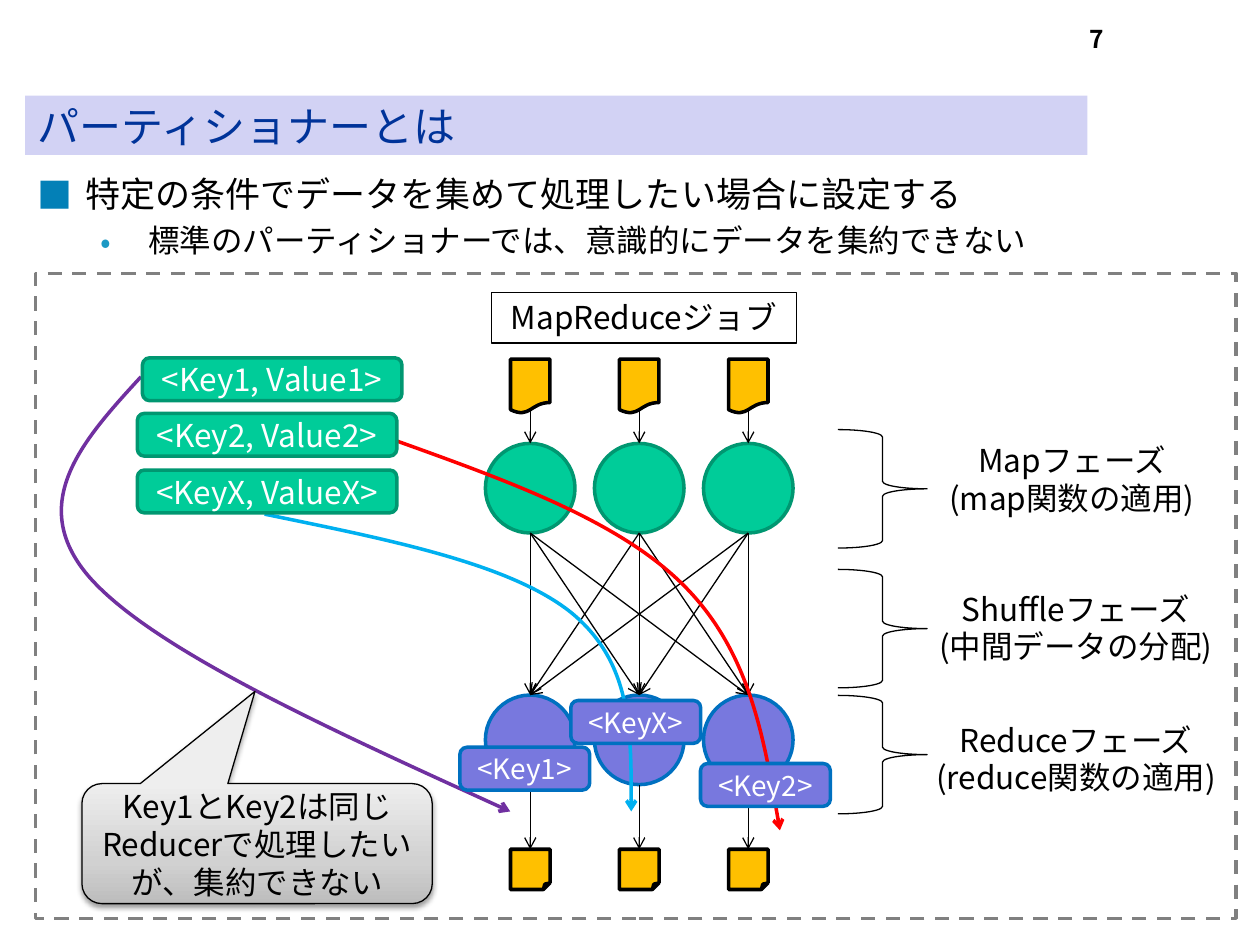
import copy
import pptx
import pptx.util
import pptx.dml.color
import pptx.enum.dml
import pptx.enum.shapes
import pptx.enum.text
import pptx.oxml
import pptx.oxml.ns
from lxml import etree

Pt = pptx.util.Pt
RGB = pptx.dml.color.RGBColor
Kind = pptx.enum.shapes.MSO_SHAPE
Align = pptx.enum.text.PP_ALIGN
Anchor = pptx.enum.text.MSO_ANCHOR
Fit = pptx.enum.text.MSO_AUTO_SIZE
qn = pptx.oxml.ns.qn

FACE = "Noto Sans CJK JP"
BLACK = RGB(0x00, 0x00, 0x00)
WHITE = RGB(0xFF, 0xFF, 0xFF)
NAVY = RGB(0x00, 0x33, 0x99)
LILAC = RGB(0xD2, 0xD2, 0xF4)
GREEN = RGB(0x00, 0xCC, 0x99)
PINE = RGB(0x00, 0x97, 0x71)
VIOLET = RGB(0x78, 0x78, 0xDE)
BLUE = RGB(0x00, 0x70, 0xC0)
GOLD = RGB(0xFF, 0xC0, 0x00)
GRAY = RGB(0x80, 0x80, 0x80)
PURPLE = RGB(0x70, 0x30, 0xA0)
RED = RGB(0xFF, 0x00, 0x00)
SKY = RGB(0x00, 0xB0, 0xF0)
TEAL = RGB(0x03, 0x80, 0xB7)
AQUA = RGB(0x1C, 0x99, 0xC4)
SHADES = [(0, RGB(0xBD, 0xBD, 0xBD)), (0.35, RGB(0xD1, 0xD1, 0xD1)),
          (1, RGB(0xEE, 0xEE, 0xEE))]

deck = pptx.Presentation()
deck.slide_width, deck.slide_height = Pt(720), Pt(540)
slide = deck.slides.add_slide(deck.slide_layouts[1])
shapes = slide.shapes


def draw(kind, box, fill, edge, width):
    shape = shapes.add_shape(kind, *map(Pt, box))
    shape.shadow.inherit = False
    if fill is None:
        shape.fill.background()
    else:
        shape.fill.solid()
        shape.fill.fore_color.rgb = fill
    shape.line.color.rgb = edge
    shape.line.width = Pt(width)
    return shape


def write(shape, lines, size, color, align=Align.CENTER, anchor=Anchor.TOP,
          bold=False, fit=Fit.NONE):
    frame = shape.text_frame
    frame.text = "\n".join(lines)
    frame_form = {"word_wrap": True, "auto_size": fit, "vertical_anchor": anchor}
    for name, value in frame_form.items():
        setattr(frame, name, value)
    for para in frame.paragraphs:
        para.alignment = align
        for run in para.runs:
            font_form = {"size": Pt(size), "bold": bold, "name": FACE}
            for name, value in font_form.items():
                setattr(run.font, name, value)
            run.font.color.rgb = color
            etree.SubElement(run.font._element, qn("a:ea"), typeface=FACE)


# Title bar
title = shapes.title
title.left, title.top, title.width, title.height = map(Pt, (14.4, 54.7, 607, 33.8))
title.fill.solid()
title.fill.fore_color.rgb = LILAC
write(title, ["パーティショナーとは"], 24, NAVY, Align.LEFT, Anchor.MIDDLE)

# Bulleted list
body = slide.placeholders[1]
body.left, body.top, body.width, body.height = map(Pt, (14.4, 95, 692, 403))
write(body, ["特定の条件でデータを集めて処理したい場合に設定する",
             "標準のパーティショナーでは、意識的にデータを集約できない"],
      20, BLACK, Align.LEFT)
bullets = [("■", TEAL, 27, 20, 0), ("•", AQUA, 63, 18, 3.6)]
for level, (para, (mark, color, left, size, gap)) in enumerate(
        zip(body.text_frame.paragraphs, bullets)):
    props = para._p.get_or_add_pPr()
    props.set("marL", str(Pt(left)))
    props.set("indent", str(Pt(-27)))
    tint = etree.SubElement(props, qn("a:buClr"))
    etree.SubElement(tint, qn("a:srgbClr"), val=str(color))
    etree.SubElement(props, qn("a:buFont"), typeface=FACE)
    etree.SubElement(props, qn("a:buChar"), char=mark)
    para.level = level
    para.space_before = Pt(gap)
    para.runs[0].font.size = Pt(size)

# Page number
page = shapes.add_textbox(*map(Pt, (488, 10, 150, 36)))
write(page, ["7"], 14, BLACK, Align.RIGHT, bold=True)

# Job frame and heading
frame = draw(Kind.RECTANGLE, (20.2, 156.2, 686, 368.6), None, GRAY, 2)
frame.line.dash_style = pptx.enum.dml.MSO_LINE.DASH
job = draw(Kind.RECTANGLE, (280.8, 167, 174.2, 29), WHITE, BLACK, 0.75)
write(job, ["MapReduceジョブ"], 18, BLACK, fit=Fit.SHAPE_TO_FIT_TEXT)

# Input files, mappers, reducers and output files in three columns
cols = [303, 365.3, 427.6]
for x in cols:
    draw(Kind.FLOWCHART_DOCUMENT, (x - 11.3, 205.2, 22.6, 31), GOLD, BLACK, 2)
    draw(Kind.OVAL, (x - 25.6, 253.4, 51.2, 51.2), GREEN, PINE, 2)
    draw(Kind.OVAL, (x - 25.6, 397.2, 51.2, 51.2), VIOLET, BLUE, 2)
    draw(Kind.FOLDED_CORNER, (x - 11.3, 485.3, 22.6, 23), GOLD, BLACK, 2)

# Straight arrows: into mappers, out of reducers, and every mapper to every reducer
links = [(x, 234.7, x, 253.4) for x in cols]
links += [(x, 448.4, x, 485.3) for x in cols]
links += [(x, 304.6, end, 397.2) for x in cols for end in cols]
arrows = []
for link in links:
    arrow = shapes.add_connector(pptx.enum.shapes.MSO_CONNECTOR.STRAIGHT,
                                 *map(Pt, link))
    arrows.append((arrow, BLACK, 0.75))

# Curved routes: start, then control, control and end of each bend
routes = [
    (PURPLE, [(80.6, 215.3), (47.5, 251.3), (15.1, 287.3), (50.4, 329),
              (85.7, 370), (188.6, 416.9), (291.6, 463.7)]),
    (RED, [(226.8, 252), (290.9, 275), (355, 298), (391.7, 335.5),
           (427.7, 372.2), (437, 423.4), (445.7, 474.5)]),
    (SKY, [(151.2, 293.8), (221, 308.2), (290.9, 321.8), (326.2, 349.9),
           (360.7, 378), (360.7, 421.2), (360.7, 463.7)]),
]
for color, points in routes:
    spots = [(Pt(x), Pt(y)) for x, y in points]
    pen = shapes.build_freeform(*spots[0])
    pen.add_line_segments(spots[1:], close=False)
    curve = pen.convert_to_shape()
    curve.fill.background()
    steps = list(curve._element.iter(qn("a:lnTo")))
    for first in (0, 3):
        bend = etree.Element(qn("a:cubicBezTo"))
        steps[first].addprevious(bend)
        for step in steps[first:first + 3]:
            bend.append(step[0])
            step.getparent().remove(step)
    arrows.append((curve, color, 2))

for arrow, color, width in arrows:
    arrow.line.color.rgb = color
    arrow.line.width = Pt(width)
    etree.SubElement(arrow.line._get_or_add_ln(), qn("a:tailEnd"), type="arrow")
    etree.SubElement(arrow._element.spPr, qn("a:effectLst"))

# Phases with braces
phases = [
    (245.5, (530, 248.4, 165), ["Mapフェーズ", "(map関数の適用)"]),
    (325.4, (524, 333.4, 181.5), ["Shuffleフェーズ", "(中間データの分配)"]),
    (397.4, (522.7, 408.2, 184.3), ["Reduceフェーズ", "(reduce関数の適用)"]),
]
for top, (left, y, width), lines in phases:
    draw(Kind.RIGHT_BRACE, (478.8, top, 51, 67.7), None, BLACK, 0.75)
    label = shapes.add_textbox(*map(Pt, (left, y, width, 51)))
    write(label, lines, 18, BLACK, fit=Fit.SHAPE_TO_FIT_TEXT)

# Callout
note = draw(Kind.ROUNDED_RECTANGULAR_CALLOUT, (46.8, 447.8, 200.2, 68.6),
            WHITE, BLACK, 0.75)
for index, value in enumerate((-0.006, -1.268, 0.167)):
    note.adjustments[index] = value
note.fill.gradient()
note.fill.gradient_angle = 90
stops = note._element.spPr.find(".//" + qn("a:gsLst"))
stops.insert(1, copy.deepcopy(stops[0]))
for stop, (place, color) in zip(note.fill.gradient_stops, SHADES):
    stop.position = place
    stop.color.rgb = color
glow = etree.SubElement(note._element.spPr.find(qn("a:effectLst")),
                        qn("a:outerShdw"), blurRad=str(Pt(3.1)),
                        dist=str(Pt(1.6)), dir="5400000", rotWithShape="0")
tint = etree.SubElement(glow, qn("a:srgbClr"), val=str(BLACK))
etree.SubElement(tint, qn("a:alpha"), val="38000")
write(note, ["Key1とKey2は同じReducerで処理したいが、集約できない"], 18, BLACK,
      anchor=Anchor.MIDDLE)

# Key labels
pair = (148.3, GREEN, PINE, 18)
key = (74.2, VIOLET, BLUE, 16)
tags = [("<Key1, Value1>", 81.4, 204.5, pair), ("<Key2, Value2>", 78.5, 236.2, pair),
        ("<KeyX, ValueX>", 78.5, 268.6, pair), ("<Key1>", 262.8, 427, key),
        ("<KeyX>", 326.2, 400.3, key), ("<Key2>", 400.3, 436.3, key)]
for text, left, top, (width, fill, edge, size) in tags:
    tag = draw(Kind.ROUNDED_RECTANGLE, (left, top, width, 24.5), fill, edge, 2)
    write(tag, [text], size, WHITE, anchor=Anchor.MIDDLE)

deck.save("out.pptx")
